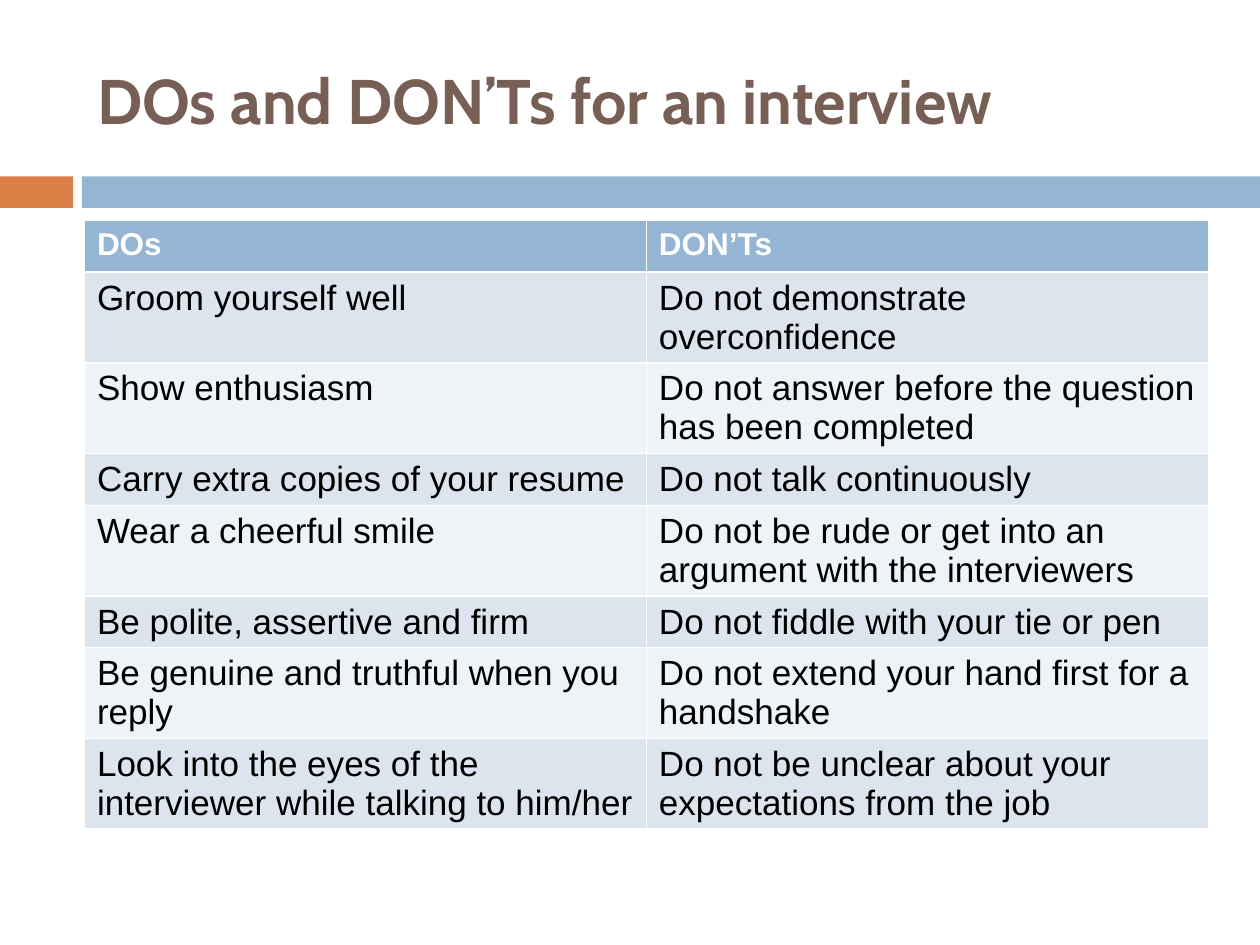
from pptx import Presentation
from pptx.dml.color import RGBColor
from pptx.enum.shapes import MSO_SHAPE
from pptx.enum.text import MSO_ANCHOR, PP_ALIGN
from pptx.util import Inches, Pt

RECTANGLE = MSO_SHAPE.RECTANGLE
MIDDLE = MSO_ANCHOR.MIDDLE
LEFT = PP_ALIGN.LEFT
TITLE_ONLY = 5

BLUE = RGBColor(0x94, 0xB6, 0xD2)
ORANGE = RGBColor(0xDD, 0x80, 0x47)
BROWN = RGBColor(0x77, 0x5F, 0x55)
WHITE = RGBColor(0xFF, 0xFF, 0xFF)
BLACK = RGBColor(0x00, 0x00, 0x00)
BAND_FILLS = (RGBColor(0xDC, 0xE5, 0xEE), RGBColor(0xEE, 0xF3, 0xF7))

TITLE_FORMAT = {"name": "Cabin", "size": Pt(36), "bold": True}
HEADER_FORMAT = {"name": "Arial", "size": Pt(18), "bold": True}
BODY_FORMAT = {"name": "Arial", "size": Pt(20), "bold": False}

ADVICE = [
    ("DOs", "DON’Ts"),
    ("Groom yourself well", "Do not demonstrate overconfidence"),
    ("Show enthusiasm", "Do not answer before the question has been completed"),
    ("Carry extra copies of your resume", "Do not talk continuously"),
    ("Wear a cheerful smile",
     "Do not be rude or get into an argument with the interviewers"),
    ("Be polite, assertive and firm", "Do not fiddle with your tie or pen"),
    ("Be genuine and truthful when you reply",
     "Do not extend your hand first for a handshake"),
    ("Look into the eyes of the interviewer while talking to him/her",
     "Do not be unclear about your expectations from the job"),
]


def write_text(text_frame, text, color, font_format):
    paragraph = text_frame.paragraphs[0]
    paragraph.alignment = LEFT
    run = paragraph.add_run()
    run.text = text
    run.font.color.rgb = color
    for attribute, value in font_format.items():
        setattr(run.font, attribute, value)


def add_divider(slide, left, top, width, height):
    accent_width, gap = Inches(0.58), Inches(0.07)
    bar_offset = accent_width + gap
    for bar_left, bar_width, color in (
        (left, accent_width, ORANGE),
        (left + bar_offset, width - bar_offset, BLUE),
    ):
        shape = slide.shapes.add_shape(RECTANGLE, bar_left, top, bar_width, height)
        shape.shadow.inherit = False
        shape.fill.solid()
        shape.fill.fore_color.rgb = color
        shape.line.fill.background()


def place_title(slide, left, top, width, height):
    title = slide.shapes.title
    box = {"left": left, "top": top, "width": width, "height": height}
    for attribute, value in box.items():
        setattr(title, attribute, value)
    title.text_frame.vertical_anchor = MIDDLE
    title.text_frame.word_wrap = True
    write_text(title.text_frame, "DOs and DON’Ts for an interview", BROWN, TITLE_FORMAT)


def add_advice_table(slide, left, top, width, row_height):
    table = slide.shapes.add_table(
        len(ADVICE), 2, left, top, width, row_height * len(ADVICE)
    ).table
    for row_index, row in enumerate(ADVICE):
        is_header = row_index == 0
        fill_color = BLUE if is_header else BAND_FILLS[(row_index - 1) % 2]
        text_color = WHITE if is_header else BLACK
        font_format = HEADER_FORMAT if is_header else BODY_FORMAT
        for column_index, text in enumerate(row):
            cell = table.cell(row_index, column_index)
            cell.fill.solid()
            cell.fill.fore_color.rgb = fill_color
            write_text(cell.text_frame, text, text_color, font_format)


def main():
    presentation = Presentation()
    presentation.slide_width = Inches(10)
    presentation.slide_height = Inches(7.5)
    slide = presentation.slides.add_slide(presentation.slide_layouts[TITLE_ONLY])

    content_left, content_width = Inches(0.67), Inches(8.92)
    add_divider(slide, 0, Inches(1.4), presentation.slide_width, Inches(0.25))
    place_title(slide, content_left, Inches(0.25), content_width, Inches(1.08))
    add_advice_table(slide, content_left, Inches(1.75), content_width, Inches(0.41))

    presentation.save("out.pptx")


if __name__ == "__main__":
    main()
